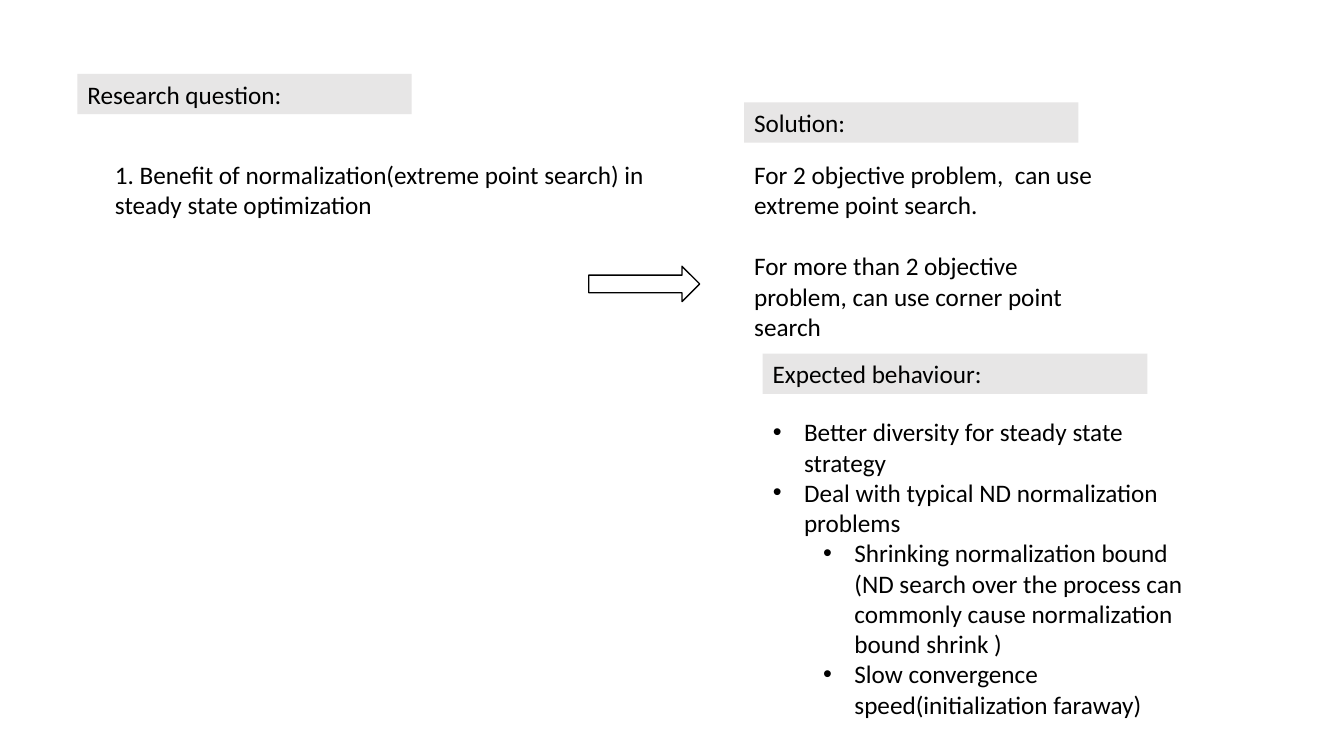
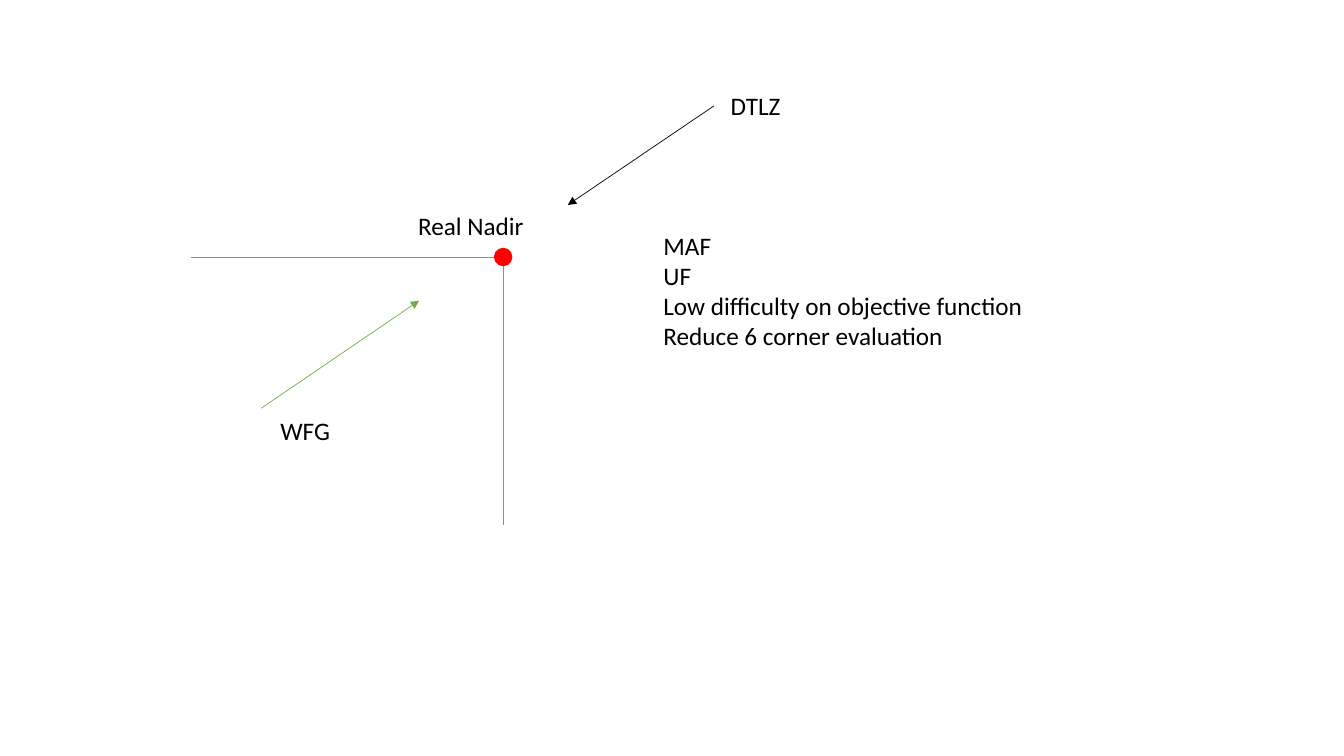
from lxml import etree
from pptx import Presentation
from pptx import util as u
from pptx.dml.color import RGBColor
from pptx.enum import shapes, text
from pptx.oxml.ns import qn

COLORS = {"text": "000000", "band": "E7E6E6", "paper": "FFFFFF",
          "axis": "5B9BD5", "nadir": "FF0000", "green": "70AD47"}
COLORS = {name: RGBColor.from_string(value) for name, value in COLORS.items()}
FONT, SIZE = "Calibri", u.Pt(18)
COLS, ROWS = 160, 90

prs = Presentation()
prs.slide_width, prs.slide_height = u.Inches(13.333), u.Inches(7.5)


def grid(*cells):
    """Turn alternating column and row counts into lengths."""
    units = prs.slide_width / COLS, prs.slide_height / ROWS
    return [u.Emu(round(n * units[i % 2])) for i, n in enumerate(cells)]


def write(sp, cells, lines, gap=0):
    """Place a shape and fill it with left-aligned paragraphs, gap points apart."""
    sp.left, sp.top, sp.width, sp.height = grid(*cells)
    tf = sp.text_frame
    tf.word_wrap = True
    tf.auto_size = text.MSO_AUTO_SIZE.NONE
    tf.vertical_anchor = text.MSO_ANCHOR.TOP
    for i, line in enumerate(lines):
        p = tf.add_paragraph() if i else tf.paragraphs[0]
        p.alignment = text.PP_ALIGN.LEFT
        p.space_before = u.Pt(gap if i else 0)
        r = p.add_run()
        r.text = line
        r.font.name, r.font.size = FONT, SIZE
        r.font.color.rgb = COLORS["text"]
    return tf


# Slide 1: research question, solution and expected behaviour
s = prs.slides.add_slide(prs.slide_layouts[1])
title, body = s.placeholders

bands = [(title, (9.2, 8.8, 39.8, 4.8), "Research question:"),
         (None, (88.6, 12.2, 39.8, 4.8), "Solution:"),
         (None, (90.8, 42.1, 45.8, 4.8), "Expected behaviour:")]
for sp, cells, label in bands:
    sp = sp or s.shapes.add_textbox(0, 0, 0, 0)
    sp.fill.solid()
    sp.fill.fore_color.rgb = COLORS["band"]
    write(sp, cells, [label])

write(s.shapes.add_textbox(0, 0, 0, 0), (12.5, 18.4, 65.4, 8.5),
      ["1. Benefit of normalization(extreme point search) in steady state optimization"])
write(s.shapes.add_textbox(0, 0, 0, 0), (88.6, 18.4, 44, 26.6),
      ["For 2 objective problem,  can use extreme point search.",
       "For more than 2 objective problem, can use corner point search"], gap=22)

arrow = s.shapes.add_shape(shapes.MSO_SHAPE.RIGHT_ARROW, *grid(70.1, 31.7, 13.2, 4.2))
arrow.shadow.inherit = False
arrow.fill.solid()
arrow.fill.fore_color.rgb = COLORS["paper"]
arrow.line.color.rgb = COLORS["text"]
arrow.line.width = u.Pt(1)

behaviours = [
    (0, "Better diversity for steady state strategy"),
    (0, "Deal with typical ND normalization problems"),
    (1, "Shrinking normalization bound (ND search over the process can "
        "commonly cause normalization bound shrink )"),
    (1, "Slow convergence speed(initialization faraway)")]
tf = write(body, (90.8, 49, 53.9, 40.5), [line for _, line in behaviours])
for p, (level, _) in zip(tf.paragraphs, behaviours):
    p.level = level
    pPr = p._p.get_or_add_pPr()
    pPr.set("marL", str(u.Inches(0.31 + 0.5 * level)))
    pPr.set("indent", str(u.Inches(-0.31)))
    etree.SubElement(pPr, qn("a:buFont"), typeface="Arial")
    etree.SubElement(pPr, qn("a:buChar"), char="•")

# Slide 2: real nadir point and the two directions of approach
s = prs.slides.add_slide(prs.slide_layouts[6])
nadir_x, nadir_y, dot = 59.9, 30.6, 2.2

lines = [((22.7, nadir_y, nadir_x, nadir_y), "axis", False),
         ((nadir_x, nadir_y, nadir_x, 62.5), "axis", False),
         ((85, 12.6, 67.6, 24.4), "text", True),
         ((31.1, 48.6, 49.9, 35.8), "green", True)]
for ends, color, has_arrow in lines:
    c = s.shapes.add_connector(shapes.MSO_CONNECTOR.STRAIGHT, *grid(*ends))
    c.line.color.rgb = COLORS[color]
    c.line.width = u.Pt(0.5)
    if has_arrow:
        etree.SubElement(c.line._get_or_add_ln(), qn("a:tailEnd"), type="triangle")
    etree.SubElement(c._element.spPr, qn("a:effectLst"))

point = s.shapes.add_shape(shapes.MSO_SHAPE.OVAL,
                           *grid(nadir_x - dot / 2, nadir_y - dot / 2, dot, dot))
point.shadow.inherit = False
point.fill.solid()
point.fill.fore_color.rgb = COLORS["nadir"]
point.line.fill.background()

labels = [((48.6, 24.4, 16.4, 4.8), ["Real Nadir"]),
          ((85.8, 10.2, 28.8, 4.8), ["DTLZ"]),
          ((32.2, 48.8, 16.3, 4.8), ["WFG"]),
          ((77.8, 26.8, 52.7, 19.4), ["MAF", "UF", "Low difficulty on objective function",
                                      "Reduce 6 corner evaluation"])]
for cells, label in labels:
    write(s.shapes.add_textbox(0, 0, 0, 0), cells, label)

prs.save("out.pptx")
